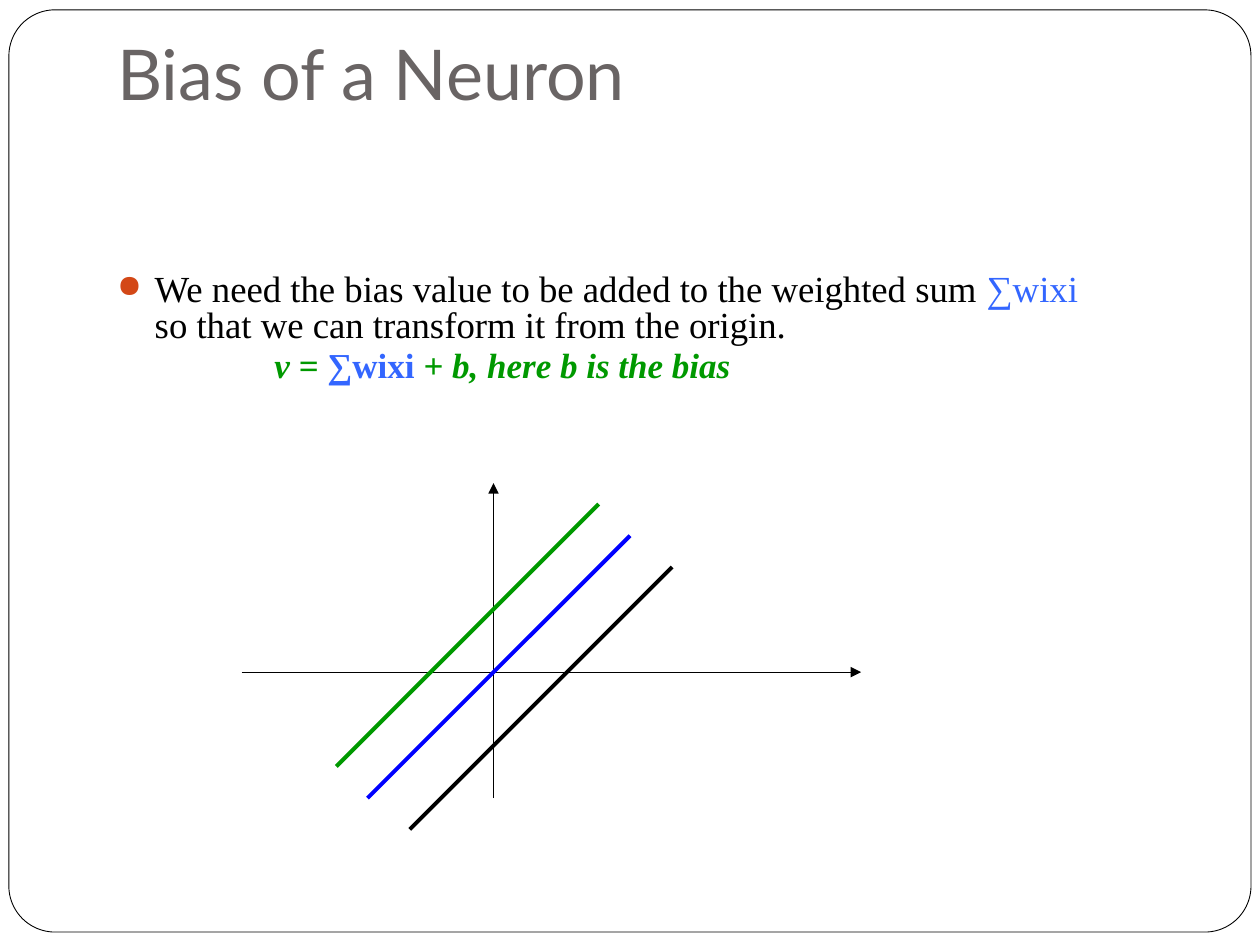
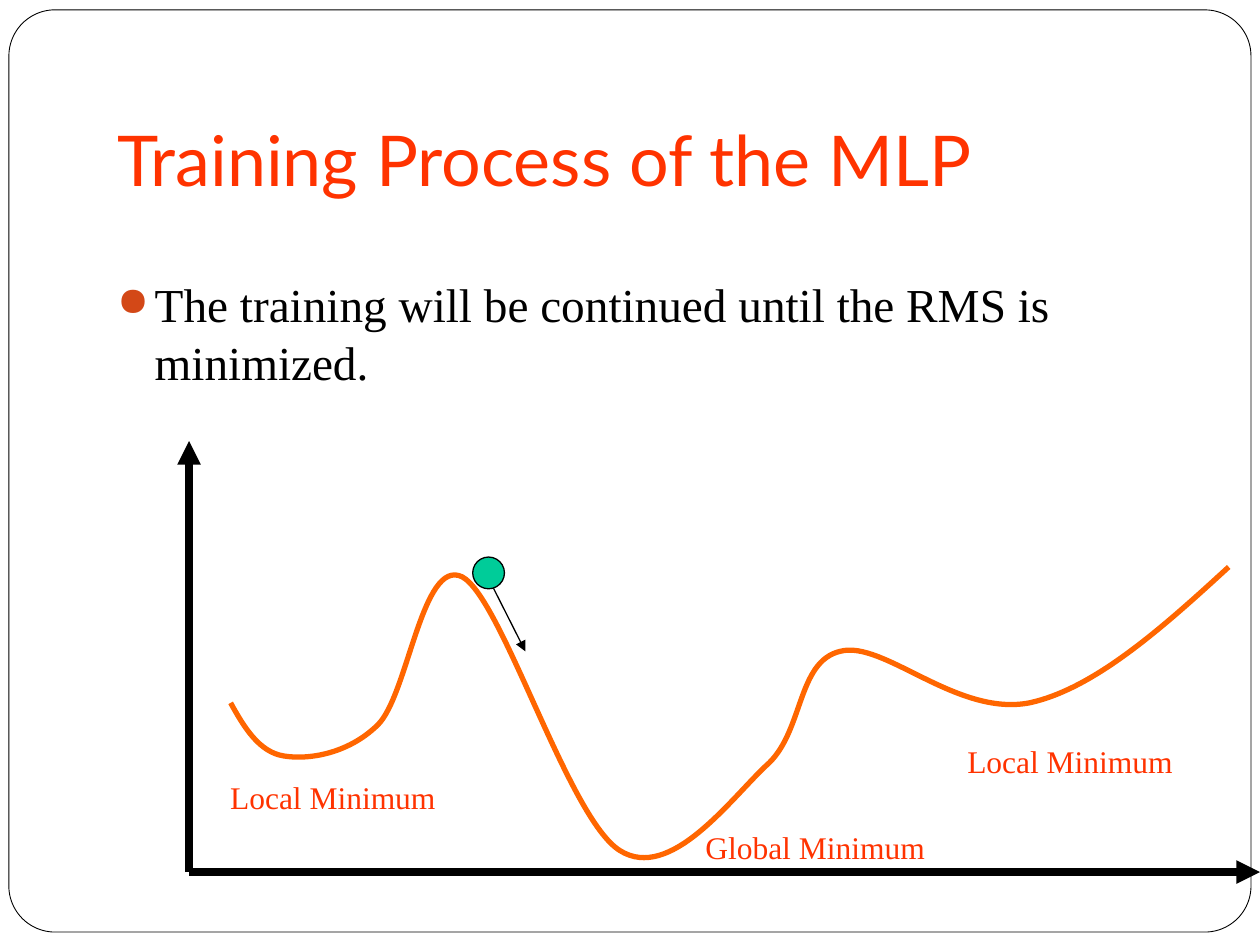
import pptx
import pptx.dml.color
import pptx.enum.shapes
import pptx.enum.text
import pptx.oxml
import pptx.oxml.ns
import pptx.util

Cm = pptx.util.Cm
Pt = pptx.util.Pt
qn = pptx.oxml.ns.qn
MSO_SHAPE = pptx.enum.shapes.MSO_SHAPE
MSO_ANCHOR = pptx.enum.text.MSO_ANCHOR

TITLE_FONT = "Lato"
BODY_FONT = "Times New Roman"
BLACK = "000000"
GREY = "696464"
RED = "FF3300"
GREEN = "009900"
SKY = "3366FF"
BLUE = "0000FF"
ORANGE = "FF6600"
TEAL = "00CC99"
BULLET = "D34817"
LEFT = 2.11
WIDTH = 21.39

ERROR_CURVE = [
    (4.65, 14.17),
    (4.93, 14.68), (5.23, 15.16), (5.72, 15.24),
    (6.2, 15.32), (7.01, 15.21), (7.62, 14.61),
    (8.23, 14), (8.51, 11.23), (9.32, 11.63),
    (10.13, 12.07), (11.46, 16.51), (12.5, 17.15),
    (13.51, 17.78), (14.71, 16.13), (15.44, 15.44),
    (16.21, 14.78), (16.05, 13.34), (16.94, 13.13),
    (17.81, 12.9), (19.28, 14.45), (20.75, 14.17),
    (22.05, 13.89), (23.42, 12.67), (24.77, 11.43),
]


def color(value):
    return pptx.dml.color.RGBColor.from_string(value)


def add_element(parent, tag, **attributes):
    element = pptx.oxml.parse_xml(
        f'<a:{tag} xmlns:a="http://schemas.openxmlformats.org/drawingml/2006/main"/>'
    )
    for name, value in attributes.items():
        element.set(name, str(value))
    parent.append(element)
    return element


def style_shape(sp, line, weight, fill=None):
    sp.shadow.inherit = False
    sp.line.color.rgb = color(line)
    sp.line.width = Pt(weight)
    if fill:
        sp.fill.solid()
        sp.fill.fore_color.rgb = color(fill)
    else:
        sp.fill.background()


def add_preset(s, shape, left, top, width, height, weight, fill=None):
    sp = s.shapes.add_shape(shape, Cm(left), Cm(top), Cm(width), Cm(height))
    style_shape(sp, BLACK, weight, fill)
    return sp


def add_line(s, start, end, line=BLACK, weight=0.75, arrow=False):
    cx = s.shapes.add_connector(
        pptx.enum.shapes.MSO_CONNECTOR.STRAIGHT, *map(Cm, start + end)
    )
    cx.line.color.rgb = color(line)
    cx.line.width = Pt(weight)
    if arrow:
        add_element(cx.line._get_or_add_ln(), "tailEnd", type="triangle")
    add_element(cx._element.spPr, "effectLst")


def add_curve(s, points, line, weight):
    start, *rest = [(Cm(x), Cm(y)) for x, y in points]
    builder = s.shapes.build_freeform(*start)
    builder.add_line_segments(rest, close=False)
    sp = builder.convert_to_shape()
    style_shape(sp, line, weight)
    outline = next(sp._element.iter(qn("a:path")))
    segments = outline.findall(qn("a:lnTo"))
    for i in range(0, len(segments), 3):
        bezier = add_element(outline, "cubicBezTo")
        for segment in segments[i:i + 3]:
            bezier.append(segment[0])
            outline.remove(segment)


def add_box(s, left, top, width, height, wrap=True):
    tf = s.shapes.add_textbox(Cm(left), Cm(top), Cm(width), Cm(height)).text_frame
    tf.word_wrap = wrap
    return tf


def format_run(r, size, font, fill, bold=False, italic=False):
    r.font.size = Pt(size)
    r.font.name = font
    r.font.color.rgb = color(fill)
    r.font.bold = bold
    r.font.italic = italic


def add_text(tf, text, size, font, fill, spacing):
    p = tf.paragraphs[0]
    p.text = text
    p.line_spacing = spacing
    format_run(p.runs[0], size, font, fill)


def add_title(s, text, fill, top, height):
    tf = add_box(s, LEFT, top, WIDTH, height)
    tf.margin_bottom = Cm(0.25)
    tf.vertical_anchor = MSO_ANCHOR.MIDDLE
    add_text(tf, text, 40, TITLE_FONT, fill, 1.24)


def add_label(s, text, left, top, width):
    tf = add_box(s, left, top, width, 1.02, wrap=False)
    add_text(tf, text, 18, BODY_FONT, RED, 1.02)


def add_runs(p, size, parts, bold=False):
    for text, fill, italic in parts:
        r = p.add_run()
        r.text = text
        format_run(r, size, BODY_FONT, fill, bold, italic)


def set_indent(p, margin, hanging):
    pPr = p._p.get_or_add_pPr()
    pPr.set("marL", str(Cm(margin)))
    pPr.set("indent", str(-Cm(hanging)))
    return pPr


def add_bullet(p):
    pPr = set_indent(p, 0.76, 0.76)
    add_element(add_element(pPr, "buClr"), "srgbClr", val=BULLET)
    add_element(pPr, "buSzPct", val=85000)
    add_element(pPr, "buChar", char="●")


def add_slide(prs):
    s = prs.slides.add_slide(prs.slide_layouts[6])
    frame = add_preset(s, MSO_SHAPE.ROUNDED_RECTANGLE, 0.18, 0.2, 25.04, 18.8, 0.5)
    frame.height = Cm(18.59)
    frame.adjustments[0] = 0.05
    return s


def build_bias_slide(prs):
    s = add_slide(prs)
    add_title(s, "Bias of a Neuron", GREY, 0.17, 2.29)

    tf = add_box(s, LEFT, 5.41, 20.12, 2.54)
    p = tf.paragraphs[0]
    add_bullet(p)
    p.line_spacing = 0.8
    add_runs(p, 21, [
        ("We need the bias value to be added to the weighted sum ", BLACK, False),
        ("∑wixi ", SKY, False),
        ("so that we can transform it from the origin.", BLACK, False),
    ])
    p = tf.add_paragraph()
    set_indent(p, 3.81, 0.64)
    p.line_spacing = 0.8
    p.space_before = Pt(3.8)
    add_runs(p, 20, [
        ("v = ", GREEN, True),
        ("∑wixi", SKY, False),
        (" + b, here b is the bias", GREEN, True),
    ], bold=True)

    add_line(s, (9.95, 16.09), (9.95, 9.74), arrow=True)
    add_line(s, (4.87, 13.55), (17.36, 13.55), arrow=True)
    run = 5.29
    for x, y, line in [(12.07, 10.16, GREEN), (12.7, 10.8, BLUE), (13.55, 11.43, BLACK)]:
        add_line(s, (x, y), (x - run, y + run), line, 2.25)


def build_training_slide(prs):
    s = add_slide(prs)
    add_title(s, "Training Process of the MLP", RED, 1.47, 3.18)

    tf = add_box(s, LEFT, 5.41, WIDTH, 11.1)
    add_bullet(tf.paragraphs[0])
    add_text(tf, "The training will be continued until the RMS is minimized.",
             27, BODY_FONT, BLACK, 1.02)

    add_curve(s, ERROR_CURVE, ORANGE, 3)
    add_preset(s, MSO_SHAPE.OVAL, 9.53, 11.23, 0.64, 0.64, 0.75, TEAL)
    add_line(s, (9.95, 11.86), (10.59, 13.13), arrow=True)

    add_label(s, "Global Minimum", 13.97, 16.56, 5.11)
    add_label(s, "Local Minimum", 19.25, 14.81, 4.78)
    add_label(s, "Local Minimum", 4.39, 15.54, 4.78)

    origin = (3.81, 17.58)
    for end in [(3.81, 8.89), (25.4, 17.58)]:
        add_line(s, origin, end, weight=4.5, arrow=True)


def main():
    prs = pptx.Presentation()
    prs.slide_width = Cm(25.4)
    prs.slide_height = Cm(19.05)
    build_bias_slide(prs)
    build_training_slide(prs)
    prs.save("out.pptx")


if __name__ == "__main__":
    main()
